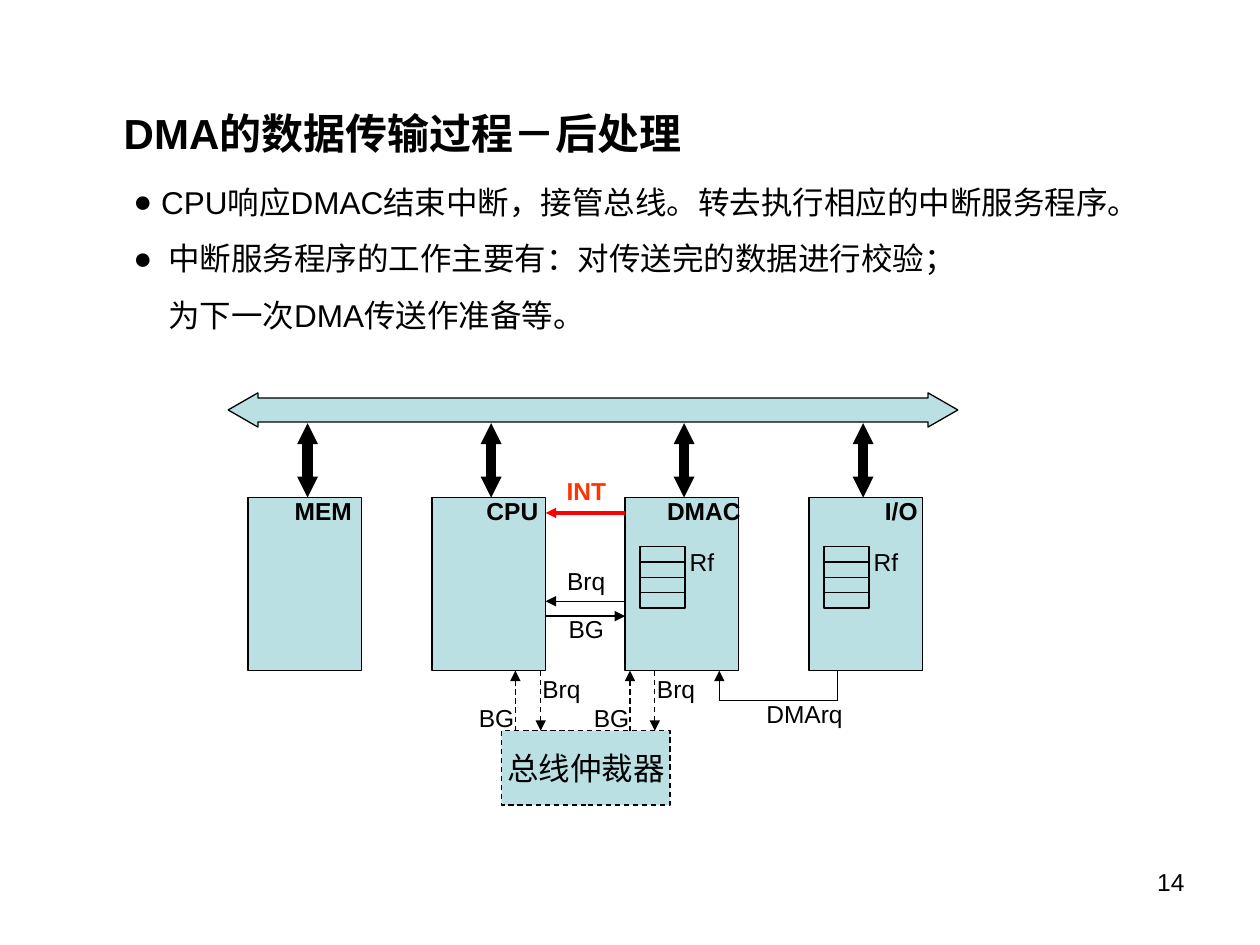
from pptx import Presentation
from pptx.dml.color import RGBColor
from pptx.enum.dml import MSO_LINE
from pptx.enum.shapes import MSO_CONNECTOR, MSO_SHAPE
from pptx.enum.text import MSO_ANCHOR, MSO_AUTO_SIZE, PP_ALIGN
from pptx.oxml.ns import qn
from pptx.util import Cm, Pt
from lxml.etree import SubElement

BLACK = RGBColor(0x00, 0x00, 0x00)
TEAL = RGBColor(0xBB, 0xE0, 0xE3)
RED = RGBColor(0xFF, 0x00, 0x00)
ORANGE = RGBColor(0xFF, 0x33, 0x00)

prs = Presentation()
prs.slide_width, prs.slide_height = Cm(25.4), Cm(19.05)
s = prs.slides.add_slide(prs.slide_layouts[5])


def style_text(tf, size, bold=False, color=BLACK, align=PP_ALIGN.LEFT,
               anchor=MSO_ANCHOR.TOP):
    tf.word_wrap = False
    tf.auto_size = MSO_AUTO_SIZE.NONE
    tf.vertical_anchor = anchor
    for p in tf.paragraphs:
        p.alignment = align
        for r in p.runs:
            r.font.name = "Arial"
            r.font.size = Pt(size)
            r.font.bold = bold
            r.font.color.rgb = color


def add_line(x1, y1, x2, y2, width=0.75, color=BLACK, dash=False,
             ends=("tailEnd",), head="med"):
    c = s.shapes.add_connector(MSO_CONNECTOR.STRAIGHT, Cm(x1), Cm(y1), Cm(x2), Cm(y2))
    c.line.color.rgb = color
    c.line.width = Pt(width)
    if dash:
        c.line.dash_style = MSO_LINE.DASH
    spPr = c._element.spPr
    for end in ends:
        SubElement(spPr.get_or_add_ln(), qn("a:" + end), type="triangle", w=head, len=head)
    SubElement(spPr, qn("a:effectLst"))


title = s.shapes.title
title.left, title.top, title.width, title.height = Cm(2.24), Cm(2.03), Cm(14), Cm(1.27)
title.text_frame.text = "DMA的数据传输过程－后处理"
style_text(title.text_frame, 24, bold=True)

body = s.shapes.add_textbox(Cm(2.44), Cm(3.18), Cm(21.23), Cm(3.68))
tf = body.text_frame
tf.text = "\n".join([
    "CPU响应DMAC结束中断，接管总线。转去执行相应的中断服务程序。",
    "中断服务程序的工作主要有：对传送完的数据进行校验；",
    "为下一次DMA传送作准备等。",
])
for i, p in enumerate(tf.paragraphs):
    pPr = p._p.get_or_add_pPr()
    pPr.set("marL", str(Cm(0.7 if i else 0.56)))
    if i < 2:
        pPr.set("indent", str(-Cm(0.7 if i else 0.56)))
        SubElement(pPr, qn("a:buFont"), typeface="Arial")
        SubElement(pPr, qn("a:buChar"), char="●")
    p.line_spacing = 1.5
style_text(tf, 18)

top, bottom, arbiter_top = 10.03, 13.52, 14.73
cpu_right, dmac_left = 11, 12.6
rects = [(x, top, 2.29, bottom - top, True) for x in (5, 8.71, dmac_left, 16.31)]
rects += [(x, 11.02 + 0.31 * i, 0.91, 0.31, False) for x in (12.9, 16.61) for i in range(4)]
rects.append((10.11, arbiter_top, 3.4, 1.5, True))
for x, y, w, h, filled in rects:
    sp = s.shapes.add_shape(MSO_SHAPE.RECTANGLE, Cm(x), Cm(y), Cm(w), Cm(h))
    sp.shadow.inherit = False
    if filled:
        sp.fill.solid()
        sp.fill.fore_color.rgb = TEAL
    else:
        sp.fill.background()
    sp.line.color.rgb = BLACK
    sp.line.width = Pt(0.75)

arbiter = sp
arbiter.line.dash_style = MSO_LINE.DASH
arbiter.text_frame.text = "总线仲裁器"
style_text(arbiter.text_frame, 18, align=PP_ALIGN.CENTER, anchor=MSO_ANCHOR.MIDDLE)

bus = s.shapes.add_shape(MSO_SHAPE.LEFT_RIGHT_ARROW, Cm(4.6), Cm(7.92), Cm(14.71), Cm(0.69))
bus.shadow.inherit = False
bus.adjustments[0], bus.adjustments[1] = 0.7, 0.87
bus.fill.solid()
bus.fill.fore_color.rgb = TEAL
bus.line.color.rgb = BLACK
bus.line.width = Pt(0.75)

for x in (6.2, 9.9, 13.79, 17.4):
    add_line(x, 8.53, x, top, width=6, ends=("headEnd", "tailEnd"), head="sm")

add_line(dmac_left, 10.34, cpu_right, 10.34, width=2, color=RED)
add_line(dmac_left, 12.12, cpu_right, 12.12)
add_line(cpu_right, 12.42, dmac_left, 12.42)

add_line(16.89, bottom, 16.89, 14.12, ends=())
add_line(16.89, 14.12, 14.5, 14.12, ends=())
add_line(14.5, 14.12, 14.5, bottom)

for grant_x, request_x in ((10.39, 10.9), (12.7, 13.2)):
    add_line(grant_x, arbiter_top, grant_x, bottom, dash=True)
    add_line(request_x, bottom, request_x, arbiter_top, dash=True)

labels = [
    ("MEM", 6.52, 10.3, True, BLACK),
    ("CPU", 10.33, 10.3, True, BLACK),
    ("DMAC", 14.19, 10.3, True, BLACK),
    ("I/O", 18.17, 10.3, True, BLACK),
    ("INT", 11.82, 9.89, True, ORANGE),
    ("Brq", 11.82, 11.7, False, BLACK),
    ("BG", 11.82, 12.67, False, BLACK),
    ("Rf", 14.15, 11.33, False, BLACK),
    ("Rf", 17.86, 11.33, False, BLACK),
    ("Brq", 11.32, 13.88, False, BLACK),
    ("Brq", 13.63, 13.88, False, BLACK),
    ("BG", 10.01, 14.46, False, BLACK),
    ("BG", 12.33, 14.46, False, BLACK),
    ("DMArq", 16.22, 14.39, False, BLACK),
]
for text, x, y, bold, color in labels:
    label = s.shapes.add_textbox(Cm(x - 0.52), Cm(y - 0.17), Cm(1.04), Cm(0.34))
    label.text_frame.text = text
    style_text(label.text_frame, 14, bold, color, PP_ALIGN.CENTER, MSO_ANCHOR.MIDDLE)

number = s.shapes.add_textbox(Cm(18.21), Cm(17.35), Cm(5.92), Cm(1.32))
number.text_frame.text = "14"
style_text(number.text_frame, 14, align=PP_ALIGN.RIGHT)
number.text_frame.word_wrap = True

prs.save("out.pptx")
